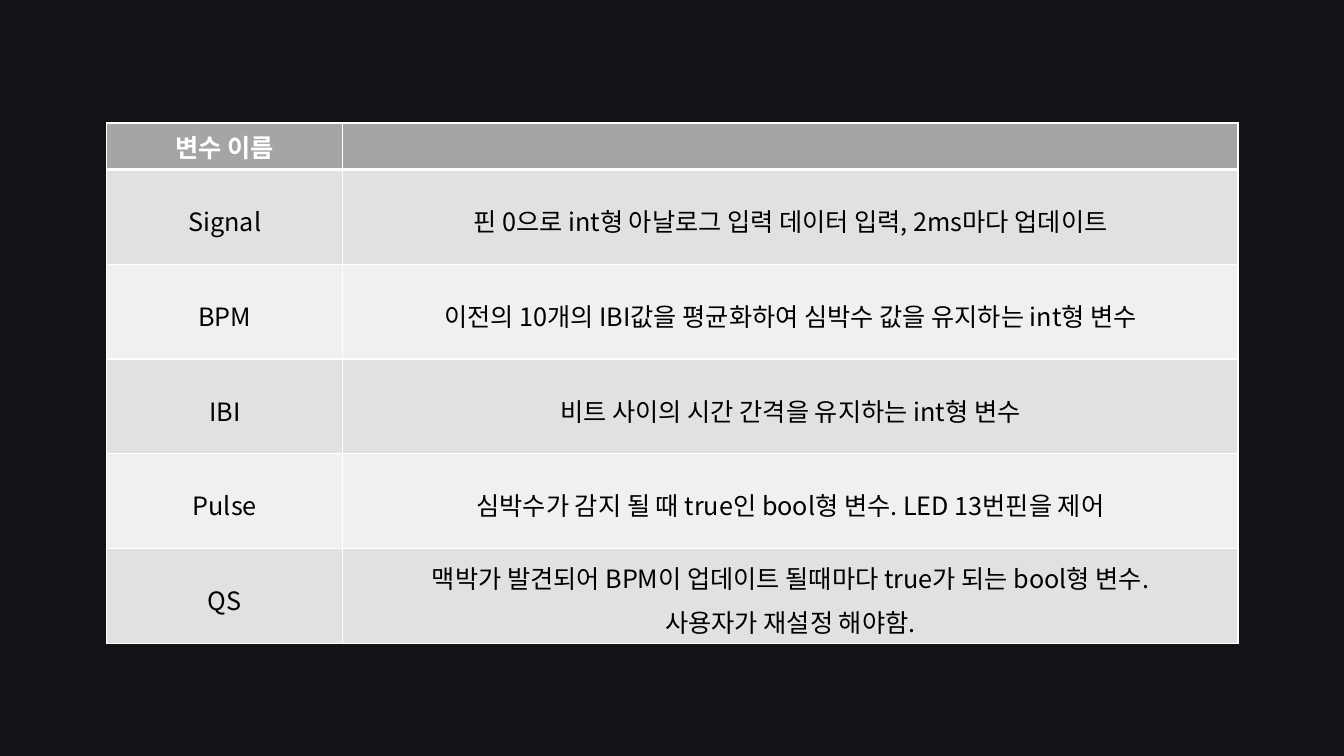
from lxml import etree
from pptx import Presentation
from pptx.dml.color import RGBColor
from pptx.enum.text import MSO_ANCHOR, PP_ALIGN
from pptx.oxml.ns import qn
from pptx.util import Inches, Pt

CENTER = PP_ALIGN.CENTER
MIDDLE = MSO_ANCHOR.MIDDLE
FONT = "Noto Sans CJK KR"
HEADER, BANDS = "A5A5A5", ("F0F0F0", "E1E1E1")
COL_WIDTHS = (2.34, 8.88)
HEADER_HEIGHT, ROW_HEIGHT = 0.45, 0.94

ROWS = [
    ("변수 이름", ""),
    ("Signal", "핀 0으로 int형 아날로그 입력 데이터 입력, 2ms마다 업데이트"),
    ("BPM", "이전의 10개의 IBI값을 평균화하여 심박수 값을 유지하는 int형 변수"),
    ("IBI", "비트 사이의 시간 간격을 유지하는 int형 변수"),
    ("Pulse", "심박수가 감지 될 때 true인 bool형 변수. LED 13번핀을 제어"),
    ("QS", "맥박가 발견되어 BPM이 업데이트 될때마다 true가 되는 bool형 변수.\n사용자가 재설정 해야함."),
]


def paint(fill, color):
    fill.solid()
    fill.fore_color.rgb = RGBColor.from_string(color)


def write(tf, text, size=18, color="000000", bold=False, spacing=1.2):
    tf.text = text
    for p in tf.paragraphs:
        p.alignment = CENTER
        p.line_spacing = spacing
        for r in p.runs:
            r.font.name = FONT
            r.font.size = Pt(size)
            r.font.bold = bold
            paint(r.font.fill, color)
            etree.SubElement(r.font._element, qn("a:ea"), typeface=FONT)


prs = Presentation()
prs.slide_width, prs.slide_height = Inches(13.33), Inches(7.5)
s = prs.slides.add_slide(prs.slide_layouts[6])
paint(s.background.fill, "121217")

height = HEADER_HEIGHT + ROW_HEIGHT * (len(ROWS) - 1)
table = s.shapes.add_table(
    len(ROWS), len(COL_WIDTHS), Inches(1.06), Inches(1.22),
    Inches(sum(COL_WIDTHS)), Inches(height)).table
table.first_row = table.horz_banding = False
for column, width in zip(table.columns, COL_WIDTHS):
    column.width = Inches(width)

for i, texts in enumerate(ROWS):
    header = i == 0
    table.rows[i].height = Inches(HEADER_HEIGHT if header else ROW_HEIGHT)
    for j, text in enumerate(texts):
        cell = table.cell(i, j)
        if header:
            write(cell.text_frame, text, color="FFFFFF", bold=True, spacing=1.0)
        else:
            write(cell.text_frame, text)
            cell.vertical_anchor = MIDDLE
            cell.margin_left = cell.margin_right = Inches(0.07)
            cell.margin_top = cell.margin_bottom = Inches(0.02)
        paint(cell.fill, HEADER if header else BANDS[i % 2])
        tcPr = cell._tc.get_or_add_tcPr()
        for k, side in enumerate("LRTB"):
            heavy = (header and side == "B") or (i == 1 and side == "T")
            ln = etree.Element(qn("a:ln" + side), w=str(Pt(3 if heavy else 1)))
            solid = etree.SubElement(ln, qn("a:solidFill"))
            etree.SubElement(solid, qn("a:srgbClr"), val="FFFFFF")
            tcPr.insert(k, ln)

prs.save("out.pptx")
